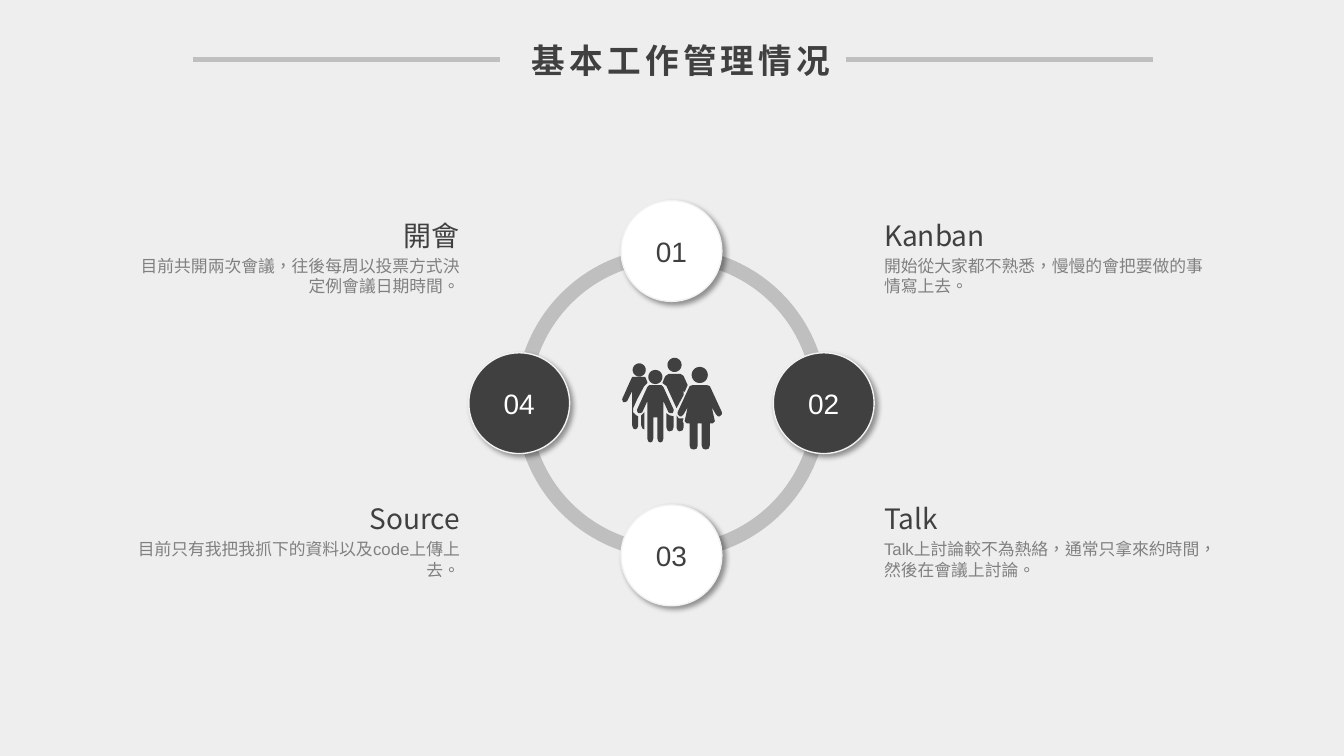
from math import cos, pi, sin

from lxml.etree import SubElement
from pptx import Presentation
from pptx.dml.color import RGBColor
from pptx.enum.shapes import MSO_CONNECTOR as Conn, MSO_SHAPE as Kind
from pptx.enum.text import MSO_ANCHOR as Anchor, MSO_AUTO_SIZE as Auto, PP_ALIGN as Align
from pptx.oxml.ns import qn
from pptx.util import Inches, Pt

COLORS = {
    "back": "EEEEEE",
    "ring": "BFBFBF",
    "dark": "404040",
    "white": "FFFFFF",
    "edge": "F2F2F2",
    "grey": "808080",
    "black": "000000",
}
SANS = "Noto Sans CJK SC"
MID_X, MID_Y = 6.66, 4
STEP = 1.51

NODES = [
    ("01", 0, -1, "white", "dark"),
    ("02", 1, 0, "dark", "white"),
    ("03", 0, 1, "white", "dark"),
    ("04", -1, 0, "dark", "white"),
]
NOTES = [
    ("Kanban", "開始從大家都不熟悉，慢慢的會把要做的事情寫上去。", 2.12, False),
    ("Talk", "Talk上討論較不為熱絡，通常只拿來約時間，然後在會議上討論。", 4.93, False),
    ("開會", "目前共開兩次會議，往後每周以投票方式決定例會議日期時間。", 2.12, True),
    ("Source", "目前只有我把我抓下的資料以及code上傳上去。", 4.93, True),
]
HEADS = [(6.34, 3.67, 0.13), (6.69, 3.62, 0.14), (6.5, 3.74, 0.14), (6.94, 3.72, 0.16)]
MAN = [
    (0.06, 3.82), (0.08, 3.84), (0.18, 4.06), (0.18, 4.08), (0.17, 4.1), (0.15, 4.1),
    (0.13, 4.09), (0.08, 3.98), (0.08, 4.35), (0.07, 4.38), (0.05, 4.39), (0.03, 4.38),
    (0.02, 4.35), (0.02, 4.14),
]
WOMAN = [
    (0.07, 3.82), (0.1, 3.83), (0.22, 4.09), (0.22, 4.11), (0.2, 4.13), (0.18, 4.13),
    (0.16, 4.11), (0.12, 4.04), (0.15, 4.18), (0.13, 4.2), (0.1, 4.2), (0.1, 4.42),
    (0.09, 4.45), (0.06, 4.46), (0.03, 4.45), (0.02, 4.42), (0.02, 4.2),
]
REAR = [
    [(6.29, 3.74), (6.4, 3.74), (6.42, 3.79), (6.42, 3.8), (6.39, 3.83), (6.32, 3.96),
     (6.28, 4.05), (6.28, 4.09), (6.31, 4.12), (6.33, 4.13), (6.33, 4.22), (6.32, 4.25),
     (6.3, 4.26), (6.28, 4.25), (6.27, 4.22), (6.27, 3.88), (6.22, 3.98), (6.2, 3.99),
     (6.18, 3.99), (6.17, 3.96), (6.26, 3.76), (6.27, 3.74)],
    [(6.63, 3.71), (6.75, 3.71), (6.78, 3.73), (6.82, 3.82), (6.79, 3.89), (6.78, 3.87),
     (6.78, 3.92), (6.71, 4.05), (6.61, 3.83), (6.57, 3.8), (6.59, 3.75), (6.6, 3.73)],
    [(6.39, 4.09), (6.39, 4.26), (6.37, 4.25), (6.36, 4.22), (6.36, 4.12), (6.38, 4.1)],
    [(6.61, 4.1), (6.64, 4.12), (6.68, 4.13), (6.68, 4.24), (6.67, 4.27), (6.64, 4.28),
     (6.62, 4.27), (6.61, 4.24)],
    [(6.71, 4.12), (6.73, 4.15), (6.78, 4.15), (6.77, 4.18), (6.78, 4.2), (6.78, 4.24),
     (6.77, 4.27), (6.74, 4.28), (6.72, 4.27), (6.71, 4.24)],
]


def rgb(name):
    return RGBColor.from_string(COLORS[name])


def paint(shape, fill):
    shape.shadow.inherit = False
    shape.fill.solid()
    shape.fill.fore_color.rgb = rgb(fill)
    shape.line.fill.background()


def write(frame, text, size=12, font="Arial", color="grey", align=Align.LEFT,
          bold=False, gap=0, lang="zh-TW"):
    para = frame.paragraphs[0]
    para.alignment = align
    run = para.add_run()
    run.text = text
    run.font.size = Pt(size)
    run.font.name = font
    run.font.bold = bold
    run.font.color.rgb = rgb(color)
    props = run._r.get_or_add_rPr()
    props.set("lang", lang)
    if gap:
        props.set("spc", str(gap * 100))
    SubElement(props, qn("a:ea")).set("typeface", font)


def label(slide, text, x, y, w, h, **style):
    frame = slide.shapes.add_textbox(Inches(x), Inches(y), Inches(w), Inches(h)).text_frame
    frame.word_wrap = True
    frame.auto_size = Auto.SHAPE_TO_FIT_TEXT
    write(frame, text, **style)


def preset(slide, kind, x, y, size, fill):
    corner = Inches(x - size / 2), Inches(y - size / 2)
    shape = slide.shapes.add_shape(kind, *corner, Inches(size), Inches(size))
    paint(shape, fill)
    return shape


def ring(slide):
    for start, end in [(108, 162), (54, 108), (0, 54), (162, 0)]:
        arc = preset(slide, Kind.BLOCK_ARC, MID_X, MID_Y, 3.09, "ring")
        for spot, value in enumerate((start, end, 0.046)):
            arc.adjustments[spot] = value


def node(slide, text, col, row, fill, ink):
    disc = preset(slide, Kind.OVAL, MID_X + col * STEP, MID_Y + row * STEP, 1, fill)
    disc.line.color.rgb = rgb("edge")
    disc.line.width = Pt(1)
    glow = SubElement(disc._element.spPr.find(qn("a:effectLst")), qn("a:outerShdw"),
                      blurRad=str(Pt(4)), dist=str(Pt(3)), dir="2700000",
                      algn="tl", rotWithShape="0")
    tint = SubElement(glow, qn("a:srgbClr"), val=COLORS["black"])
    SubElement(tint, qn("a:alpha"), val="40000")
    disc.text_frame.vertical_anchor = Anchor.MIDDLE
    write(disc.text_frame, text, size=20, color=ink, align=Align.CENTER)


def mirror(half, mid):
    right = [(mid + x, y) for x, y in half]
    left = [(mid - x, y) for x, y in reversed(half)]
    return right + left


def circle(x, y, size, count=32):
    turns = [2 * pi * step / count for step in range(count)]
    return [(x + size / 2 * cos(turn), y + size / 2 * sin(turn)) for turn in turns]


def people(slide):
    parts = REAR + [mirror(MAN, 6.5), mirror(WOMAN, 6.94)]
    parts += [circle(*head) for head in HEADS]
    parts = [[(Inches(x), Inches(y)) for x, y in part] for part in parts]
    pen = slide.shapes.build_freeform(*parts[0][0])
    for part in parts:
        if part is not parts[0]:
            pen.move_to(*part[0])
        pen.add_line_segments(part[1:], close=True)
    paint(pen.convert_to_shape(), "dark")


def note(slide, head, text, y, left):
    align = Align.RIGHT if left else Align.LEFT
    label(slide, head, 1.99 if left else 8.67, y, 2.67, 0.44,
          size=20, font=SANS, color="dark", align=align)
    label(slide, text, 1.16 if left else 8.67, y + 0.37, 3.5, 0.5, align=align)


def rule(slide, x):
    line = slide.shapes.add_connector(Conn.STRAIGHT, Inches(x), Inches(0.59),
                                      Inches(x + 3.05), Inches(0.59))
    line.line.color.rgb = rgb("ring")
    line.line.width = Pt(3)
    SubElement(line._element.spPr, qn("a:effectLst"))


def main():
    deck = Presentation()
    deck.slide_width, deck.slide_height = Inches(13.33), Inches(7.5)
    slide = deck.slides.add_slide(deck.slide_layouts[6])
    slide.background.fill.solid()
    slide.background.fill.fore_color.rgb = rgb("back")
    ring(slide)
    people(slide)
    for item in NODES:
        node(slide, *item)
    for item in NOTES:
        note(slide, *item)
    for x in (1.91, 8.39):
        rule(slide, x)
    label(slide, "基本工作管理情况", 5.02, 0.35, 3.47, 0.5, size=24, font=SANS,
          color="dark", align=Align.CENTER, bold=True, gap=3, lang="zh-CN")
    deck.save("out.pptx")


if __name__ == "__main__":
    main()
